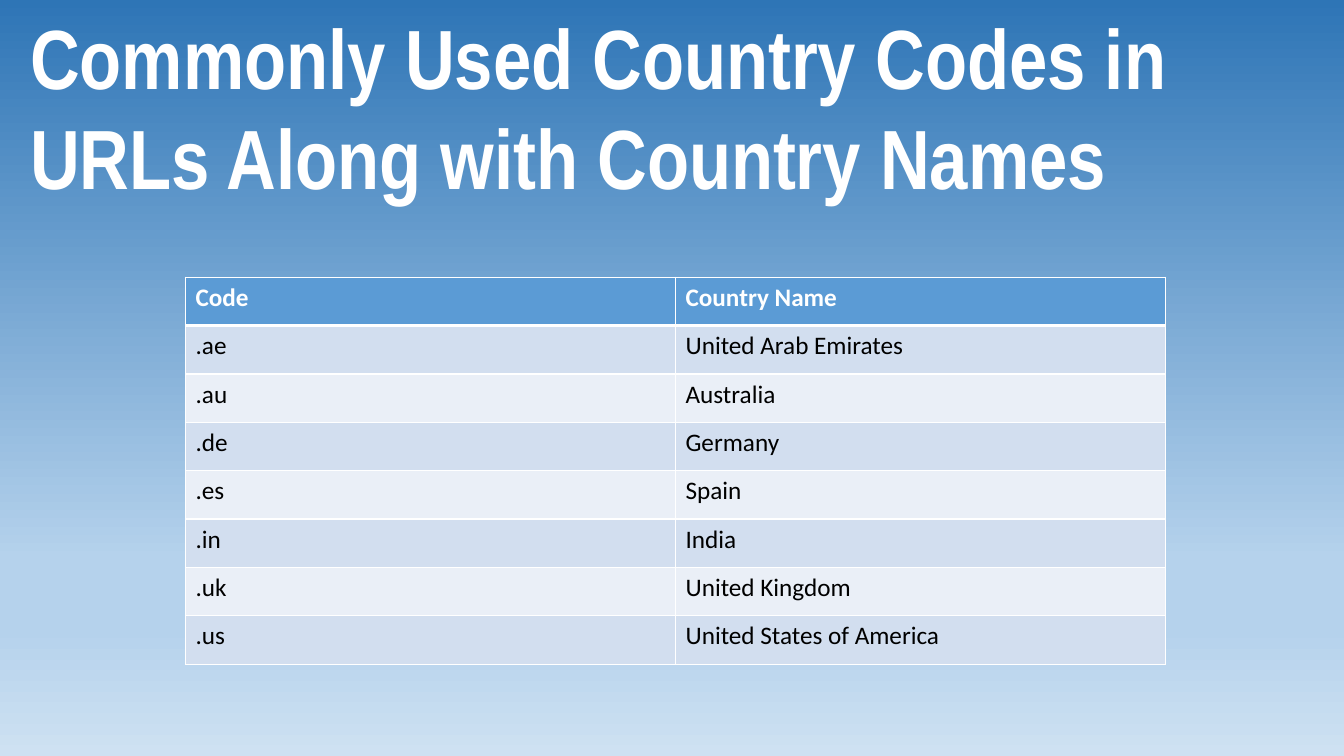
from lxml import etree
from pptx import Presentation
from pptx.dml.color import RGBColor
from pptx.enum.text import MSO_ANCHOR, PP_ALIGN
from pptx.oxml.ns import qn
from pptx.util import Inches, Pt

WHITE = RGBColor(0xFF, 0xFF, 0xFF)
BLACK = RGBColor(0x00, 0x00, 0x00)
HEADER_BLUE = RGBColor(0x5B, 0x9B, 0xD5)
BANDS = [RGBColor(0xEA, 0xEF, 0xF7), RGBColor(0xD2, 0xDE, 0xEF)]
DEEP_BLUE = RGBColor(0x2E, 0x75, 0xB6)
SKY_BLUE = RGBColor(0xB5, 0xD2, 0xEC)
PALE_BLUE = RGBColor(0xCE, 0xE1, 0xF2)
SKY = [(0, DEEP_BLUE), (74, SKY_BLUE), (83, SKY_BLUE), (100, PALE_BLUE)]

TITLE = "Commonly Used Country Codes in URLs Along with Country Names"
ROWS = [
    ("Code", "Country Name"),
    (".ae", "United Arab Emirates"),
    (".au", "Australia"),
    (".de", "Germany"),
    (".es", "Spain"),
    (".in", "India"),
    (".uk", "United Kingdom"),
    (".us", "United States of America"),
]
COL_WIDTH, ROW_HEIGHT = Inches(4.86), Inches(0.48)


def set_font(p, name, size, color, bold):
    p.font.name = name
    p.font.size = Pt(size)
    p.font.color.rgb = color
    p.font.bold = bold


def add_solid(parent, color):
    solid = etree.SubElement(parent, qn("a:solidFill"))
    etree.SubElement(solid, qn("a:srgbClr"), val=str(color))


def set_background(s, stops):
    """Fill the slide with a top-to-bottom gradient of (percent, colour) stops."""
    fill = s.background.fill
    fill.gradient()
    fill.gradient_angle = 270
    stop_list = next(s.background._cSld.iter(qn("a:gsLst")))
    for old in list(stop_list):
        stop_list.remove(old)
    for percent, color in stops:
        stop = etree.SubElement(stop_list, qn("a:gs"), pos=str(percent * 1000))
        etree.SubElement(stop, qn("a:srgbClr"), val=str(color))


def add_title(s, text):
    title = s.shapes.title
    title.left, title.top = Inches(0.2), 0
    title.width, title.height = Inches(12.17), Inches(2.42)
    tf = title.text_frame
    tf.text = text
    tf.word_wrap = True
    tf.vertical_anchor = MSO_ANCHOR.TOP
    p = tf.paragraphs[0]
    p.alignment = PP_ALIGN.LEFT
    set_font(p, "Arial Narrow", 60, WHITE, True)


def set_borders(cell, top, bottom):
    """Draw white cell borders: 1 pt at the sides, given widths above and below."""
    tc_pr = cell._tc.get_or_add_tcPr()
    for side, width in (("L", 1), ("R", 1), ("T", top), ("B", bottom)):
        line = etree.SubElement(tc_pr, qn(f"a:ln{side}"), w=str(Pt(width)))
        add_solid(line, WHITE)


def add_country_table(s, rows):
    n_rows, n_cols = len(rows), len(rows[0])
    table = s.shapes.add_table(n_rows, n_cols, Inches(1.84), Inches(2.75),
                               n_cols * COL_WIDTH, n_rows * ROW_HEIGHT).table
    for i, row in enumerate(rows):
        header = i == 0
        for j, text in enumerate(row):
            cell = table.cell(i, j)
            cell.text = text
            set_font(cell.text_frame.paragraphs[0], "Calibri", 18,
                     WHITE if header else BLACK, header)
            set_borders(cell, top=3 if i == 1 else 1, bottom=3 if header else 1)
            cell.fill.solid()
            cell.fill.fore_color.rgb = HEADER_BLUE if header else BANDS[i % 2]


def main():
    prs = Presentation()
    prs.slide_width, prs.slide_height = Inches(13.33), Inches(7.5)
    s = prs.slides.add_slide(prs.slide_layouts.get_by_name("Title Only"))
    set_background(s, SKY)
    add_country_table(s, ROWS)
    add_title(s, TITLE)
    prs.save("out.pptx")


if __name__ == "__main__":
    main()
